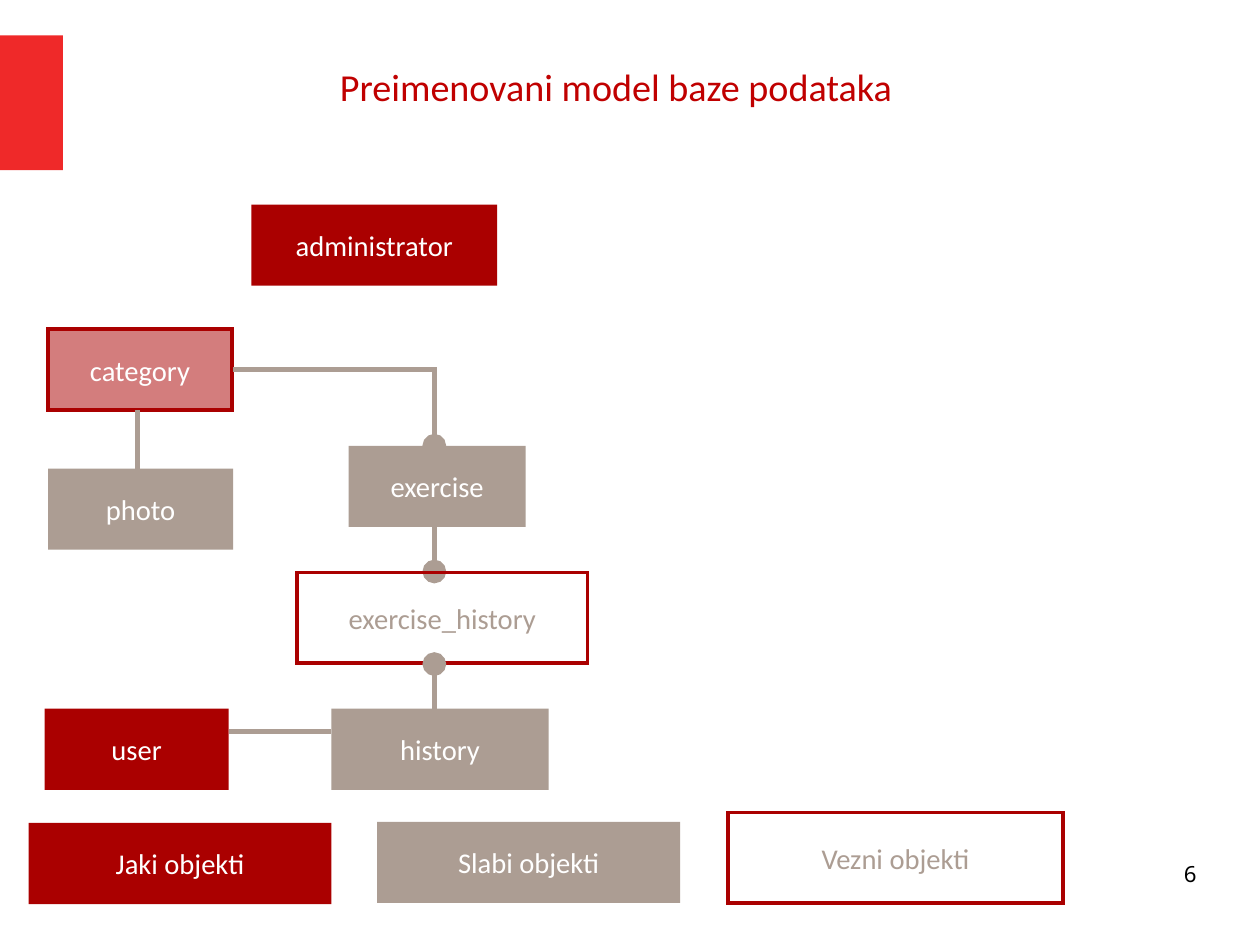
"""Build the slide showing the renamed database model."""
from dataclasses import dataclass
from typing import Any

import lxml.etree
import pptx
import pptx.dml.color
import pptx.enum.shapes
import pptx.enum.text
import pptx.oxml
import pptx.oxml.ns
import pptx.util

Inches = pptx.util.Inches
Align = pptx.enum.text.PP_ALIGN
Anchor = pptx.enum.text.MSO_ANCHOR
Connector = pptx.enum.shapes.MSO_CONNECTOR
qn = pptx.oxml.ns.qn

COLORS = {
    "accent": "EF2929",
    "title": "C00000",
    "strong": "AA0000",
    "weak": "AC9D93",
    "white": "FFFFFF",
    "black": "000000",
}
CM_PER_INCH = 2.54
BOX_HEIGHT = 0.71
JOIN_HEIGHT = 0.79
SPINE = 3.8


@dataclass(frozen=True)
class Style:
    fill: str | None
    line: str | None = None
    text: str = "white"
    alpha: int = 100


@dataclass(frozen=True)
class Entity:
    label: str
    left: float
    top: float
    width: float
    style: Style
    height: float = BOX_HEIGHT


@dataclass(frozen=True)
class Relation:
    start: tuple[float, float]
    end: tuple[float, float]
    oval: bool = False
    bent: bool = False


STRONG = Style("strong")
WEAK = Style("weak")
JOIN = Style(None, "strong", "weak")
CATEGORY = Style("strong", "strong", alpha=51)

MODEL: list[Entity | Relation] = [
    Entity("category", 0.42, 2.88, 1.61, CATEGORY),
    Entity("user", 0.39, 6.2, 1.61, STRONG),
    Entity("administrator", 2.2, 1.79, 2.15, STRONG),
    Entity("photo", 0.42, 4.1, 1.62, WEAK),
    Relation((2.04, 3.23), (SPINE, 3.9), oval=True, bent=True),
    Entity("Jaki objekti", 0.25, 7.2, 2.65, STRONG),
    Entity("Slabi objekti", 3.3, 7.19, 2.65, WEAK),
    Relation((1.2, 4.1), (1.2, 3.59)),
    Relation((2, 6.4), (2.9, 6.4)),
    Entity("history", 2.9, 6.2, 1.9, WEAK),
    Entity("exercise", 3.05, 3.9, 1.55, WEAK),
    Relation((SPINE, 4.61), (SPINE, 5), oval=True),
    Entity("exercise_history", 2.6, 5.01, 2.54, JOIN, JOIN_HEIGHT),
    Relation((SPINE, 6.2), (SPINE, 5.81), oval=True),
    Entity("Vezni objekti", 6.37, 7.11, 2.93, JOIN, JOIN_HEIGHT),
]


def rgb(name: str) -> pptx.dml.color.RGBColor:
    """Return the named palette colour."""
    return pptx.dml.color.RGBColor.from_string(COLORS[name])


def write(shape: Any, text: str, *, size: int = 18, color: str = "white",
          font: str = "Calibri", align: Any = Align.CENTER, anchor: Any = Anchor.MIDDLE,
          inset: tuple[float, float] = (0.1, 0.05), spacing: float = 1.0) -> None:
    """Put formatted text into a shape."""
    frame = shape.text_frame
    frame.word_wrap = True
    frame.auto_size = pptx.enum.text.MSO_AUTO_SIZE.NONE
    frame.vertical_anchor = anchor
    frame.margin_left = frame.margin_right = Inches(inset[0])
    frame.margin_top = frame.margin_bottom = Inches(inset[1])
    paragraph = frame.paragraphs[0]
    paragraph.alignment = align
    paragraph.line_spacing = spacing
    run = paragraph.add_run()
    run.text = text
    run.font.name = font
    run.font.size = pptx.util.Pt(size)
    run.font.color.rgb = rgb(color)


def draw_line(shape: Any, color: str, width: float) -> Any:
    """Give a shape a mitred line and return the line element."""
    shape.line.color.rgb = rgb(color)
    shape.line.width = pptx.util.Pt(width)
    outline = shape._element.spPr.find(qn("a:ln"))
    lxml.etree.SubElement(outline, qn("a:miter")).set("lim", "800000")
    return outline


def add_rectangle(slide: Any, left: float, top: float, width: float, height: float,
                  style: Style) -> Any:
    """Draw a styled rectangle."""
    shape = slide.shapes.add_shape(
        pptx.enum.shapes.MSO_SHAPE.RECTANGLE,
        Inches(left), Inches(top), Inches(width), Inches(height))
    shape.shadow.inherit = False
    if style.fill:
        shape.fill.solid()
        shape.fill.fore_color.rgb = rgb(style.fill)
        if style.alpha < 100:
            color = next(shape.fill._xPr.iter(qn("a:srgbClr")))
            lxml.etree.SubElement(color, qn("a:alpha")).set("val", str(style.alpha * 1000))
    else:
        shape.fill.background()
    if style.line:
        draw_line(shape, style.line, 2.25)
    else:
        shape.line.fill.background()
    return shape


def add_entity(slide: Any, entity: Entity) -> None:
    """Draw a labelled database object."""
    box = add_rectangle(slide, entity.left, entity.top, entity.width, entity.height, entity.style)
    write(box, entity.label, color=entity.style.text)


def add_relation(slide: Any, relation: Relation) -> None:
    """Draw a connector between two database objects."""
    kind = Connector.ELBOW if relation.bent else Connector.STRAIGHT
    connector = slide.shapes.add_connector(
        kind, *(Inches(value) for value in relation.start + relation.end))
    outline = draw_line(connector, "weak", 3)
    properties = connector._element.spPr
    if relation.bent:
        properties.find(qn("a:prstGeom")).set("prst", "bentConnector2")
    if relation.oval:
        tail = lxml.etree.SubElement(outline, qn("a:tailEnd"))
        for key, value in {"type": "oval", "w": "lg", "len": "lg"}.items():
            tail.set(key, value)
    lxml.etree.SubElement(properties, qn("a:effectLst"))


def main() -> None:
    """Assemble and save the slide."""
    deck = pptx.Presentation()
    deck.slide_width, deck.slide_height = Inches(28 / CM_PER_INCH), Inches(21 / CM_PER_INCH)
    slide = deck.slides.add_slide(deck.slide_layouts[5])

    title = slide.shapes.title
    title.left, title.top = Inches(0.9), Inches(0.55)
    title.width, title.height = Inches(8.98), Inches(0.65)
    write(title, "Preimenovani model baze podataka", size=24, color="title",
          anchor=Anchor.TOP, spacing=0.9)

    add_rectangle(slide, 0, 0.31, 0.55, 1.18, Style("accent"))
    for part in MODEL:
        if isinstance(part, Entity):
            add_entity(slide, part)
        else:
            add_relation(slide, part)

    page_number = slide.shapes.add_textbox(Inches(7.9), Inches(7.53), Inches(2.57), Inches(0.57))
    write(page_number, "6", size=14, color="black", font="Noto Sans",
          align=Align.RIGHT, anchor=Anchor.TOP, inset=(0, 0))
    deck.save("out.pptx")


if __name__ == "__main__":
    main()
